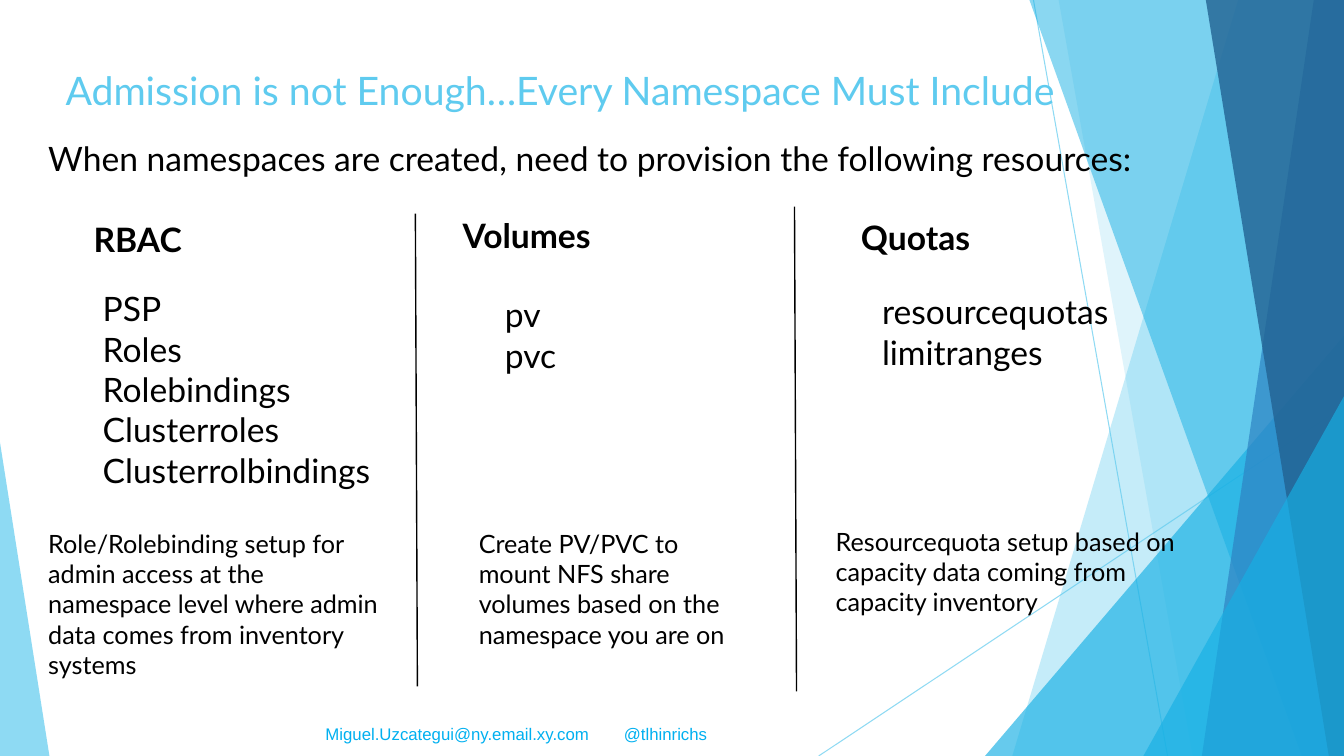
from dataclasses import dataclass

import pptx
import pptx.dml.color
import pptx.enum.shapes
import pptx.enum.text
import pptx.oxml
import pptx.oxml.ns
import pptx.util
from pptx.util import Inches


@dataclass(frozen=True)
class Theme:
    font: str = "Lato"
    footer_font: str = "Arial"
    text: str = "000000"
    sky: str = "5FCBEF"
    cyan: str = "17B0E4"
    blue: str = "2E83C3"
    navy: str = "226292"
    footer: str = "00B0F0"
    title_size: int = 28
    body_size: int = 24
    note_size: int = 18
    footer_size: int = 12


THEME = Theme()
WIDTH, HEIGHT = 13.33, 7.5

# Corner points, colour and opacity in percent, from back to front
RIBBONS = [
    ([(12.28, 0), (WIDTH, 0), (WIDTH, HEIGHT), (10.04, HEIGHT)], THEME.sky, 36),
    ([(10.5, 0), (WIDTH, 0), (WIDTH, HEIGHT), (11.83, HEIGHT)], THEME.sky, 20),
    ([(WIDTH, 3.33), (WIDTH, HEIGHT), (9.77, HEIGHT)], THEME.cyan, 66),
    ([(10.21, 0), (WIDTH, 0), (WIDTH, HEIGHT), (12.91, HEIGHT)], THEME.cyan, 50),
    ([(13.03, 0), (WIDTH, 0), (WIDTH, HEIGHT), (11.92, HEIGHT)], THEME.blue, 70),
    ([(11.96, 0), (WIDTH, 0), (WIDTH, HEIGHT), (13.18, HEIGHT)], THEME.navy, 80),
    ([(WIDTH, 3.93), (WIDTH, HEIGHT), (11.34, HEIGHT)], THEME.cyan, 66),
    ([(0, 4.39), (0.49, HEIGHT), (0, HEIGHT)], THEME.sky, 70),
]

# Each part of a column: left, top, width, height, text
COLUMNS = [
    {
        "heading": (0.83, 2.12, 1.66, 0.5, "RBAC"),
        "resources": (0.92, 2.81, 2.9, 2.12,
                      "PSP\nRoles\nRolebindings\nClusterroles\nClusterrolbindings"),
        "note": (0.38, 5.19, 3.59, 1.62,
                 "Role/Rolebinding setup for admin access at the namespace level "
                 "where admin data comes from inventory systems"),
    },
    {
        "heading": (4.49, 2.08, 1.66, 0.5, "Volumes"),
        "resources": (4.91, 2.87, 2.9, 0.91, "pv\npvc"),
        "note": (4.65, 5.19, 2.95, 1.31,
                 "Create PV/PVC to mount NFS share volumes based on the "
                 "namespace you are on"),
    },
    {
        "heading": (8.44, 2.1, 1.66, 0.5, "Quotas"),
        "resources": (8.65, 2.84, 2.9, 0.91, "resourcequotas\nlimitranges"),
        "note": (8.19, 5.17, 3.89, 1.01,
                 "Resourcequota setup based on capacity data coming from "
                 "capacity inventory"),
    },
]


def rgb(value):
    return pptx.dml.color.RGBColor.from_string(value)


def set_opacity(shape, percent):
    color = next(shape.element.iter(pptx.oxml.ns.qn("a:srgbClr")))
    alpha = pptx.oxml.parse_xml(f'<a:alpha {pptx.oxml.ns.nsdecls("a")}/>')
    alpha.set("val", str(percent * 1000))
    color.append(alpha)


def add_ribbon(slide, corners, color, opacity):
    points = [(Inches(x), Inches(y)) for x, y in corners]
    builder = slide.shapes.build_freeform(*points[0])
    builder.add_line_segments(points[1:], close=True)
    ribbon = builder.convert_to_shape()
    ribbon.shadow.inherit = False
    ribbon.fill.solid()
    ribbon.fill.fore_color.rgb = rgb(color)
    ribbon.line.fill.background()
    set_opacity(ribbon, opacity)


def add_line(slide, start, end, color, weight, opacity=100):
    line = slide.shapes.add_connector(
        pptx.enum.shapes.MSO_CONNECTOR.STRAIGHT, *map(Inches, start + end))
    line.line.color.rgb = rgb(color)
    line.line.width = pptx.util.Pt(weight)
    line.element.spPr.append(
        pptx.oxml.parse_xml(f'<a:effectLst {pptx.oxml.ns.nsdecls("a")}/>'))
    if opacity < 100:
        set_opacity(line, opacity)


def format_text(frame, size, color=THEME.text, font=THEME.font, bold=False):
    for paragraph in frame.paragraphs:
        for run in paragraph.runs:
            run.font.name = font
            run.font.size = pptx.util.Pt(size)
            run.font.bold = bold
            run.font.color.rgb = rgb(color)


def add_text(slide, left, top, width, height, text, size, **style):
    box = slide.shapes.add_textbox(*map(Inches, (left, top, width, height)))
    frame = box.text_frame
    frame.word_wrap = True
    frame.text = text
    format_text(frame, size, **style)
    return frame


def add_backdrop(slide):
    add_line(slide, (10.25, 0), (11.58, HEIGHT), THEME.sky, 0.75, 70)
    add_line(slide, (WIDTH, 4.03), (8.12, HEIGHT), THEME.sky, 0.75, 70)
    for corners, color, opacity in RIBBONS:
        add_ribbon(slide, corners, color, opacity)


def add_footer(slide):
    """Set the address and the handle on one line, parted by a tab stop."""
    frame = add_text(slide, 3.13, 7.13, 4.2, 0.3,
                     "Miguel.Uzcategui@ny.email.xy.com\t@tlhinrichs",
                     THEME.footer_size, color=THEME.footer, font=THEME.footer_font)
    tabs = pptx.oxml.parse_xml(
        f'<a:tabLst {pptx.oxml.ns.nsdecls("a")}>'
        f'<a:tab pos="{Inches(2.96)}" algn="l"/></a:tabLst>')
    frame.paragraphs[0]._p.get_or_add_pPr().append(tabs)


def set_title(slide, text):
    """Fill the title placeholder and bring it in front of the backdrop."""
    title = slide.shapes.title
    title.left, title.top, title.width, title.height = map(
        Inches, (0.55, 0.59, 12.12, 0.6))
    frame = title.text_frame
    frame.text = text
    frame.word_wrap = True
    frame.auto_size = pptx.enum.text.MSO_AUTO_SIZE.NONE
    frame.vertical_anchor = pptx.enum.text.MSO_ANCHOR.MIDDLE
    frame.paragraphs[0].alignment = pptx.enum.text.PP_ALIGN.LEFT
    format_text(frame, THEME.title_size, THEME.sky)
    slide.shapes.element.append(title.element)


def add_column(slide, column):
    add_text(slide, *column["heading"], THEME.body_size, bold=True)
    add_text(slide, *column["resources"], THEME.body_size)
    add_text(slide, *column["note"], THEME.note_size)


def main():
    deck = pptx.Presentation()
    deck.slide_width, deck.slide_height = Inches(WIDTH), Inches(HEIGHT)
    slide = deck.slides.add_slide(deck.slide_layouts.get_by_name("Title Only"))
    add_backdrop(slide)
    add_footer(slide)
    set_title(slide, "Admission is not Enough…Every Namespace Must Include")
    add_text(slide, 0.38, 1.32, 11.33, 0.5,
             "When namespaces are created, need to provision the following resources:",
             THEME.body_size)
    add_line(slide, (4.12, 2.12), (4.14, 6.81), THEME.text, 1)
    add_line(slide, (7.88, 2.05), (7.9, 6.86), THEME.text, 1)
    for column in COLUMNS:
        add_column(slide, column)
    deck.save("out.pptx")


if __name__ == "__main__":
    main()
